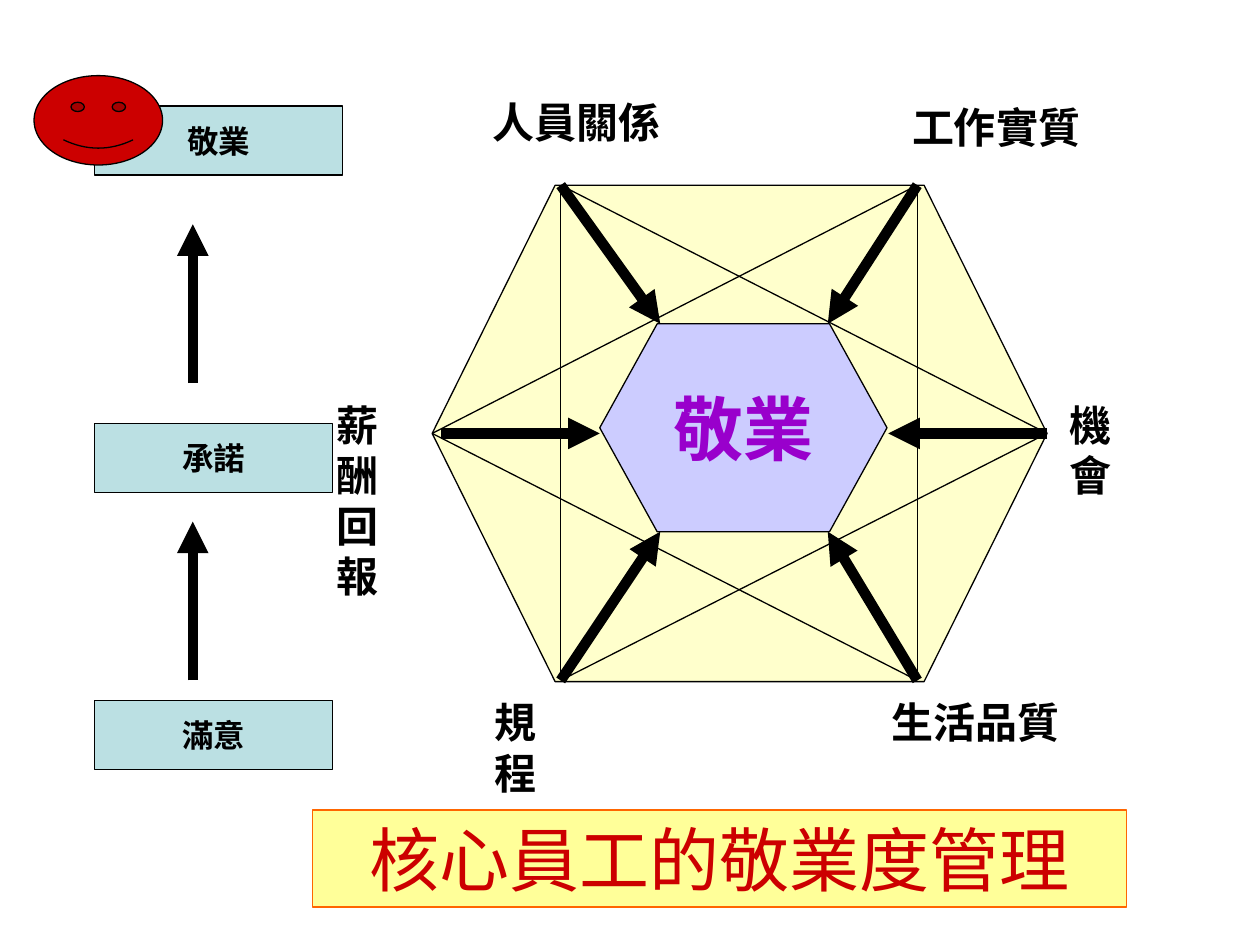
from dataclasses import dataclass

from lxml import etree
from pptx import Presentation
from pptx.dml.color import RGBColor
from pptx.enum import shapes, text
from pptx.oxml.ns import qn
from pptx.util import Inches, Pt


@dataclass(frozen=True)
class Theme:
    font: str = "Arial"
    black: str = "000000"
    outer: str = "FFFFCC"
    inner: str = "CCCCFF"
    core: str = "9900CC"
    stage: str = "BBE0E3"
    banner: str = "FFFF99"
    banner_line: str = "FF6600"
    red: str = "CC0000"
    big: int = 40
    label: int = 24
    small: int = 18
    thin: float = 0.75
    thick: float = 6


class Builder:
    def __init__(self, s, theme):
        self.s = s
        self.t = theme

    def add_text(self, sp, lines, size, color, bold=True, center=True, wrap=False,
                 middle=True, grow=False):
        tf = sp.text_frame
        tf.word_wrap = wrap
        tf.vertical_anchor = text.MSO_ANCHOR.MIDDLE if middle else text.MSO_ANCHOR.TOP
        if grow:
            tf.auto_size = text.MSO_AUTO_SIZE.SHAPE_TO_FIT_TEXT
        for i, line in enumerate(lines):
            p = tf.add_paragraph() if i else tf.paragraphs[0]
            p.alignment = text.PP_ALIGN.CENTER if center else text.PP_ALIGN.LEFT
            r = p.add_run()
            r.text = line
            r.font.name = self.t.font
            r.font.size = Pt(size)
            r.font.bold = bold
            r.font.color.rgb = RGBColor.from_string(color)

    def shape(self, kind, box, fill, line=None):
        sp = self.s.shapes.add_shape(kind, *map(Inches, box))
        sp.shadow.inherit = False
        sp.fill.solid()
        sp.fill.fore_color.rgb = RGBColor.from_string(fill)
        sp.line.color.rgb = RGBColor.from_string(line or self.t.black)
        sp.line.width = Pt(self.t.thin)
        return sp

    def label(self, box, *lines):
        sp = self.s.shapes.add_textbox(*map(Inches, box))
        self.add_text(sp, lines, self.t.label, self.t.black, center=False,
                      middle=False, grow=True)

    def line(self, start, end, arrow=False):
        c = self.s.shapes.add_connector(
            shapes.MSO_CONNECTOR.STRAIGHT, *map(Inches, (*start, *end)))
        c.line.color.rgb = RGBColor.from_string(self.t.black)
        c.line.width = Pt(self.t.thick if arrow else self.t.thin)
        sp_pr = c._element.spPr
        if arrow:
            etree.SubElement(sp_pr.find(qn("a:ln")), qn("a:tailEnd"), type="triangle")
        etree.SubElement(sp_pr, qn("a:effectLst"))


def main():
    prs = Presentation()
    prs.slide_width, prs.slide_height = Inches(10), Inches(7.5)
    t = Theme()
    b = Builder(prs.slides.add_slide(prs.slide_layouts[6]), t)
    kinds = shapes.MSO_SHAPE

    b.shape(kinds.FLOWCHART_PREPARATION, (3.43, 1.47, 4.88, 3.94), t.outer)
    core = b.shape(kinds.FLOWCHART_PREPARATION, (4.76, 2.57, 2.28, 1.65), t.inner)
    b.add_text(core, ["敬業"], t.big, t.core)

    left, right = (3.43, 3.44), (8.31, 3.44)
    top_left, top_right = (4.45, 1.47), (7.28, 1.47)
    low_left, low_right = (4.45, 5.4), (7.28, 5.4)
    for start, end in [(left, top_right), (left, low_right), (low_left, right),
                       (top_left, right), (top_left, low_left), (top_right, low_right)]:
        b.line(start, end)
    for start, end in [(top_left, (5.24, 2.57)), (low_left, (5.24, 4.22)),
                       ((3.5, 3.44), (4.76, 3.44)), (low_right, (6.57, 4.22)),
                       (top_right, (6.57, 2.57)), (right, (7.05, 3.44))]:
        b.line(start, end, arrow=True)

    b.label((3.81, 0.72, 1.53, 0.5), "人員關係")
    b.label((7.14, 0.76, 1.53, 0.5), "工作實質")
    b.label((2.57, 3.12, 0.86, 0.9), "薪酬", "回報")
    b.label((8.39, 3.12, 0.86, 0.5), "機會")
    b.label((3.83, 5.48, 0.86, 0.5), "規程")
    b.label((6.98, 5.48, 1.53, 0.5), "生活品質")

    for name, y, w in [("滿意", 5.56, 1.89), ("敬業", 0.84, 1.97), ("承諾", 3.36, 1.89)]:
        stage = b.shape(kinds.RECTANGLE, (0.75, y, w, 0.55), t.stage)
        b.add_text(stage, [name], t.small, t.black)
    for y in (5.4, 3.04):
        b.line((1.53, y), (1.53, y - 1.26), arrow=True)

    banner = b.shape(kinds.RECTANGLE, (2.48, 6.43, 6.46, 0.77), t.banner, t.banner_line)
    b.add_text(banner, ["核心員工的敬業度管理"], t.big, t.red, bold=False, wrap=True,
               middle=False, grow=True)
    face = b.shape(kinds.SMILEY_FACE, (0.27, 0.6, 1.02, 0.71), t.red)
    face.adjustments[0] = 0.05

    prs.save("out.pptx")


if __name__ == "__main__":
    main()
